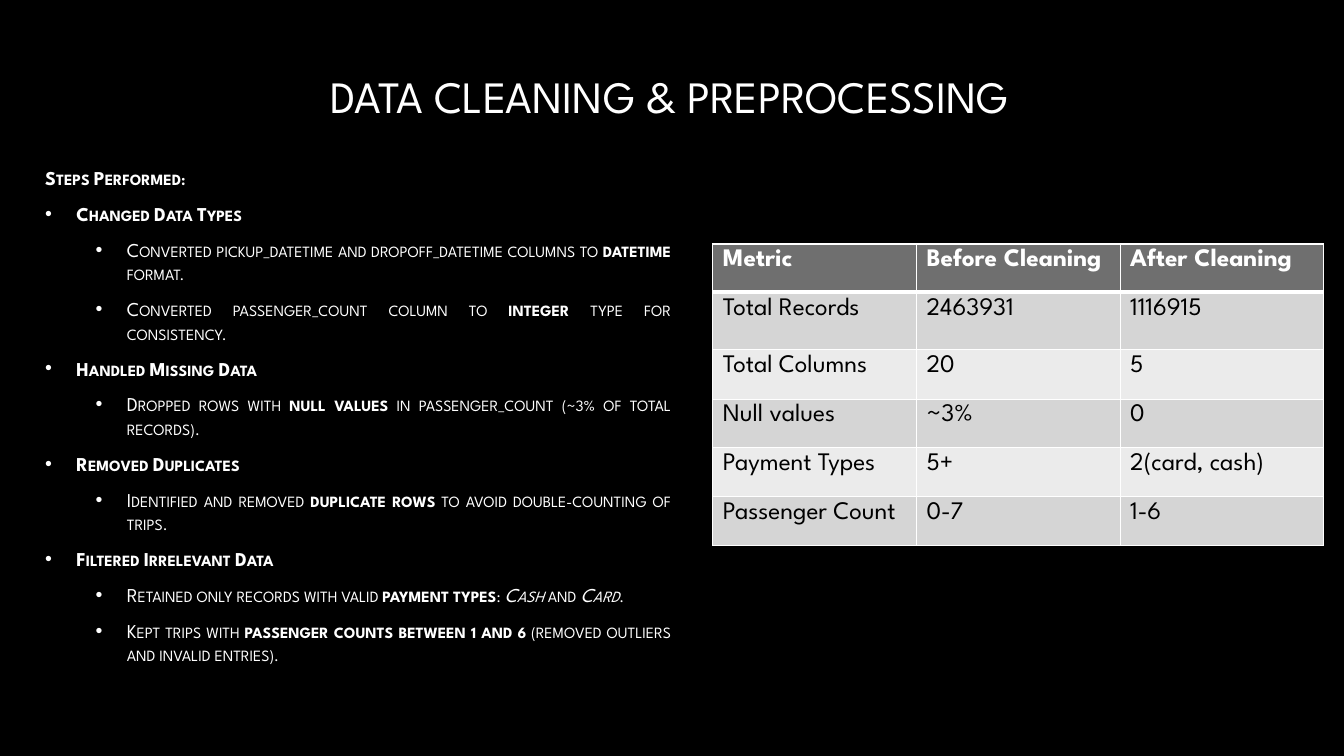
from dataclasses import dataclass

from lxml.etree import SubElement
from pptx import Presentation
from pptx.dml.color import RGBColor
from pptx.enum.text import MSO_ANCHOR as Anchor, PP_ALIGN as Align
from pptx.oxml.ns import qn
from pptx.util import Inches, Pt


@dataclass(frozen=True)
class Theme:
    font: str = "League Spartan"
    background: str = "000000"
    light: str = "FFFFFF"
    dark: str = "000000"
    header: str = "6F6F6F"
    bands: tuple = ("D5D5D5", "EBEBEB")
    title_size: int = 32
    body_size: int = 14
    table_size: int = 18


def apply_format(target, values):
    for name, value in values.items():
        setattr(target, name, value)


class SlideBuilder:
    def __init__(self, presentation, theme):
        self.theme = theme
        self.slide = presentation.slides.add_slide(presentation.slide_layouts[6])
        fill = self.slide.background.fill
        fill.solid()
        fill.fore_color.rgb = RGBColor.from_string(theme.background)

    def add_run(self, paragraph, text, size, color, bold=False, italic=False):
        run = paragraph.add_run()
        run.text = text
        apply_format(run.font, {"name": self.theme.font, "size": Pt(size),
                                "bold": bold, "italic": italic})
        run.font.color.rgb = RGBColor.from_string(color)
        return run

    def add_text_frame(self, left, top, width, height):
        shape = self.slide.shapes.add_textbox(
            Inches(left), Inches(top), Inches(width), Inches(height))
        frame = shape.text_frame
        apply_format(frame, {"word_wrap": True, "vertical_anchor": Anchor.MIDDLE})
        return frame

    def add_title(self, text, box):
        paragraph = self.add_text_frame(*box).paragraphs[0]
        paragraph.alignment = Align.CENTER
        self.add_run(paragraph, text, self.theme.title_size, self.theme.light)

    def add_bullet(self, paragraph, indent):
        properties = paragraph._p.get_or_add_pPr()
        properties.set("marL", str(Inches(indent)))
        properties.set("indent", str(-Inches(0.31)))
        color = SubElement(properties, qn("a:buClr"))
        SubElement(color, qn("a:srgbClr"), val=self.theme.light)
        SubElement(properties, qn("a:buFont"), typeface="Arial")
        SubElement(properties, qn("a:buChar"), char="•")

    def add_steps(self, heading, steps, box):
        frame = self.add_text_frame(*box)
        frame._txBody.bodyPr.set("numCol", "2")
        self.add_step(frame.paragraphs[0], [(heading, "bold")])
        for step, details in steps:
            self.add_step(frame.add_paragraph(), [(step, "bold")], 0.31)
            for detail in details:
                self.add_step(frame.add_paragraph(), detail, 0.81, 1)

    def add_step(self, paragraph, runs, indent=0, level=0):
        apply_format(paragraph, {
            "alignment": Align.JUSTIFY, "level": level,
            "space_before": Pt(2.8), "space_after": Pt(6)})
        if indent:
            self.add_bullet(paragraph, indent)
        for text, style in runs:
            run = self.add_run(paragraph, text, self.theme.body_size, self.theme.light,
                               style == "bold", style == "italic")
            run.font._element.set("cap", "small")

    def add_borders(self, cell, widths):
        properties = cell._tc.get_or_add_tcPr()
        for side, width in zip("LRTB", widths):
            line = SubElement(properties, qn(f"a:ln{side}"), w=str(Pt(width)))
            fill = SubElement(line, qn("a:solidFill"))
            SubElement(fill, qn("a:srgbClr"), val=self.theme.light)

    def add_table(self, rows, heights, column_width, left, top):
        columns = len(rows[0])
        table = self.slide.shapes.add_table(
            len(rows), columns, Inches(left), Inches(top),
            Inches(column_width * columns), Inches(sum(heights))).table
        for column in table.columns:
            column.width = Inches(column_width)
        for index, (values, height) in enumerate(zip(rows, heights)):
            table.rows[index].height = Inches(height)
            is_header = index == 0
            background = self.theme.header if is_header else self.theme.bands[(index - 1) % 2]
            color = self.theme.light if is_header else self.theme.dark
            widths = (1, 1, 3 if index == 1 else 1, 3 if is_header else 1)
            for cell, value in zip(table.rows[index].cells, values):
                self.add_borders(cell, widths)
                cell.fill.solid()
                cell.fill.fore_color.rgb = RGBColor.from_string(background)
                self.add_run(cell.text_frame.paragraphs[0], value,
                             self.theme.table_size, color, is_header)


STEPS = [
    ("Changed Data Types", [
        [("Converted pickup_datetime and dropoff_datetime columns to ", ""),
         ("datetime", "bold"), (" format.", "")],
        [("Converted passenger_count column to ", ""),
         ("integer", "bold"), (" type for consistency.", "")],
    ]),
    ("Handled Missing Data", [
        [("Dropped rows with ", ""), ("null values", "bold"),
         (" in passenger_count (~3% of total records).", "")],
    ]),
    ("Removed Duplicates", [
        [("Identified and removed ", ""), ("duplicate rows", "bold"),
         (" to avoid double-counting of trips.", "")],
    ]),
    ("Filtered Irrelevant Data", [
        [("Retained only records with valid ", ""), ("payment types", "bold"), (": ", ""),
         ("Cash", "italic"), (" and ", ""), ("Card", "italic"), (".", "")],
        [("Kept trips with ", ""), ("passenger counts between 1 and 6", "bold"),
         (" (removed outliers and invalid entries).", "")],
    ]),
]

METRICS = [
    ("Metric", "Before Cleaning", "After Cleaning"),
    ("Total Records", "2463931", "1116915"),
    ("Total Columns", "20", "5"),
    ("Null values", "~3%", "0"),
    ("Payment Types", "5+", "2(card, cash)"),
    ("Passenger Count", "0-7", "1-6"),
]


def main():
    presentation = Presentation()
    apply_format(presentation, {"slide_width": Inches(13.33), "slide_height": Inches(7.5)})
    builder = SlideBuilder(presentation, Theme())
    builder.add_title("DATA CLEANING & PREPROCESSING", (1.23, -0.09, 10.83, 2.08))
    builder.add_steps("Steps Performed:", STEPS, (0.35, 1.43, 12.61, 5.39))
    builder.add_table(METRICS, [0.48, 0.57] + [0.49, 0.48] * 2, 2.02, 7.07, 2.42)
    presentation.save("out.pptx")


if __name__ == "__main__":
    main()
